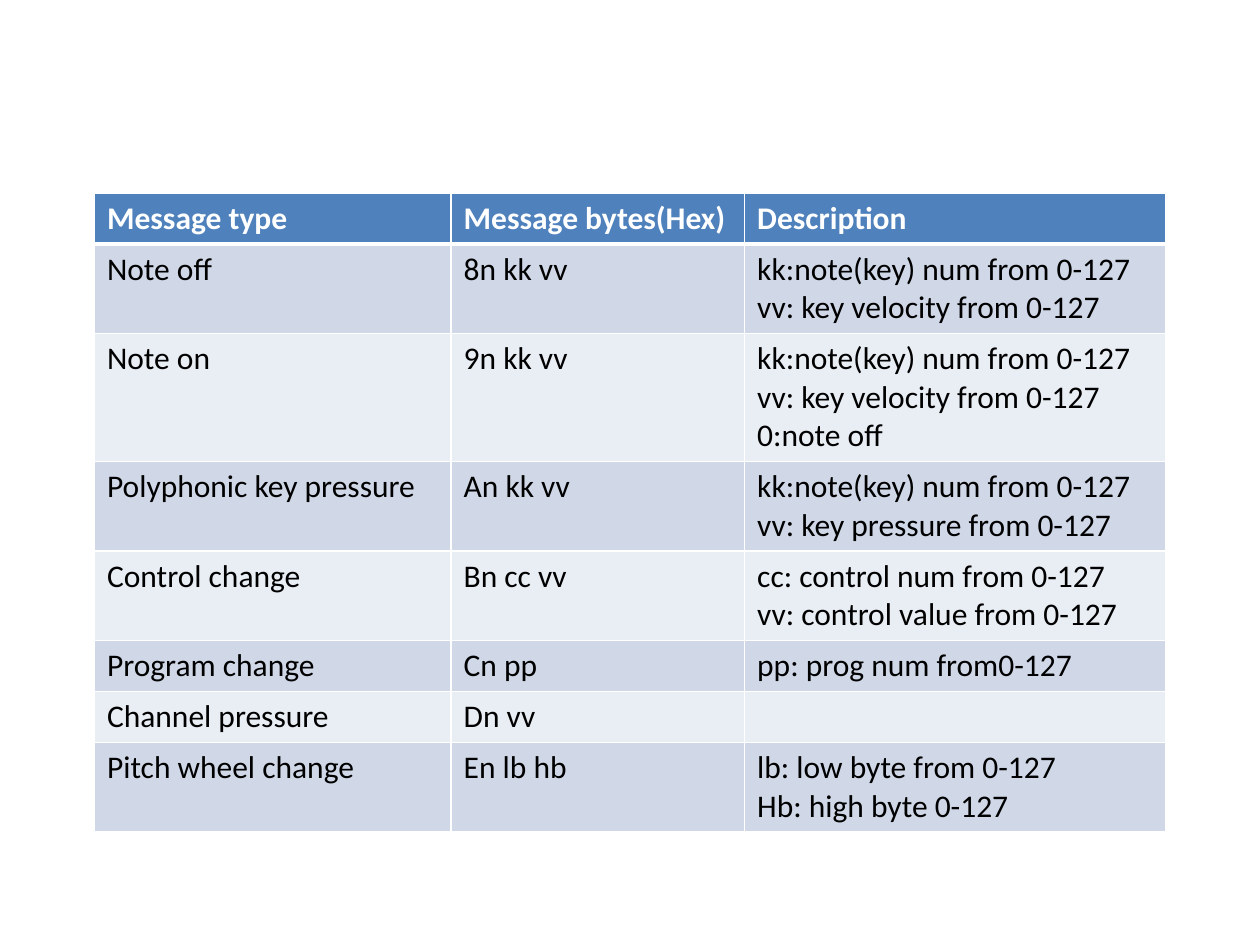
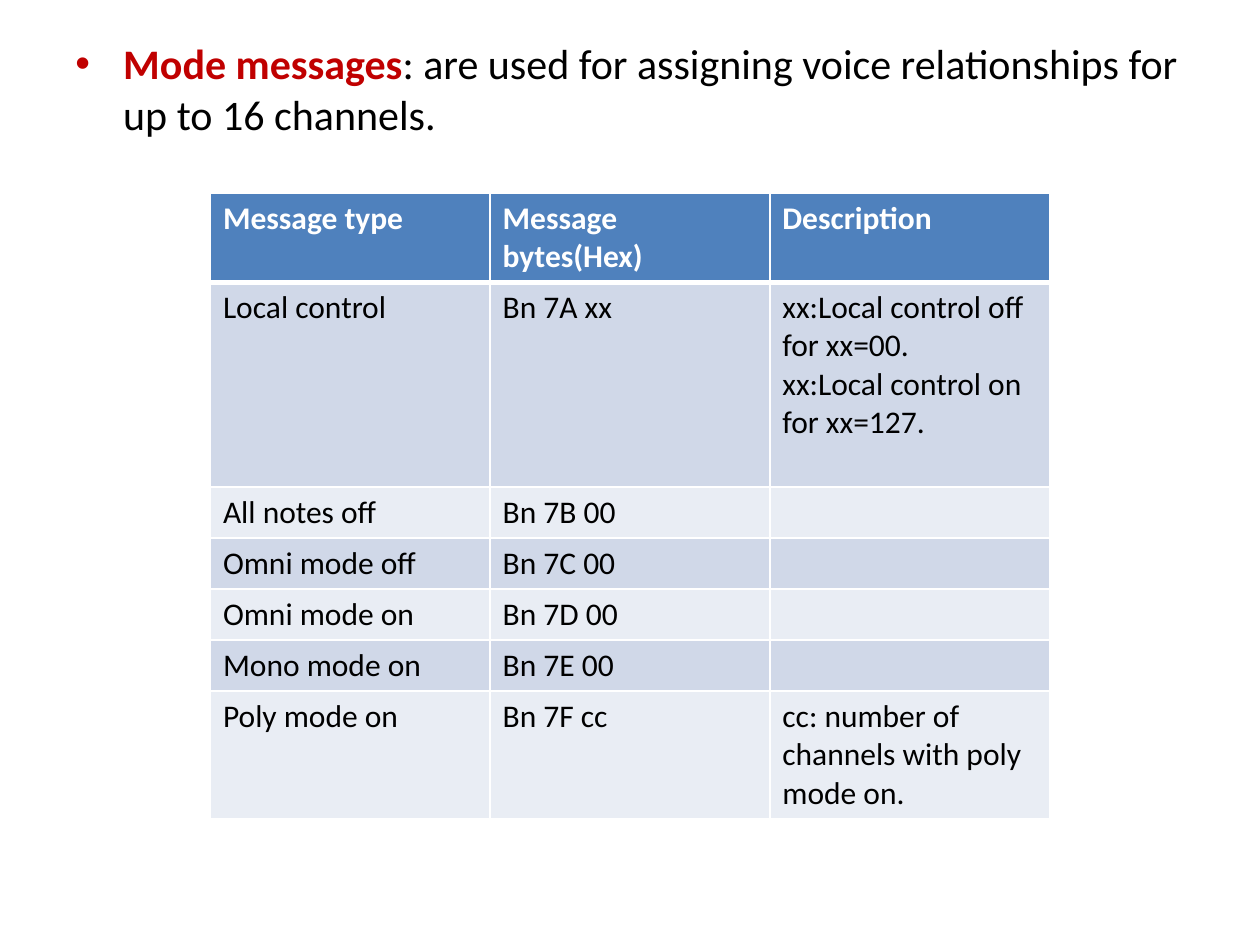
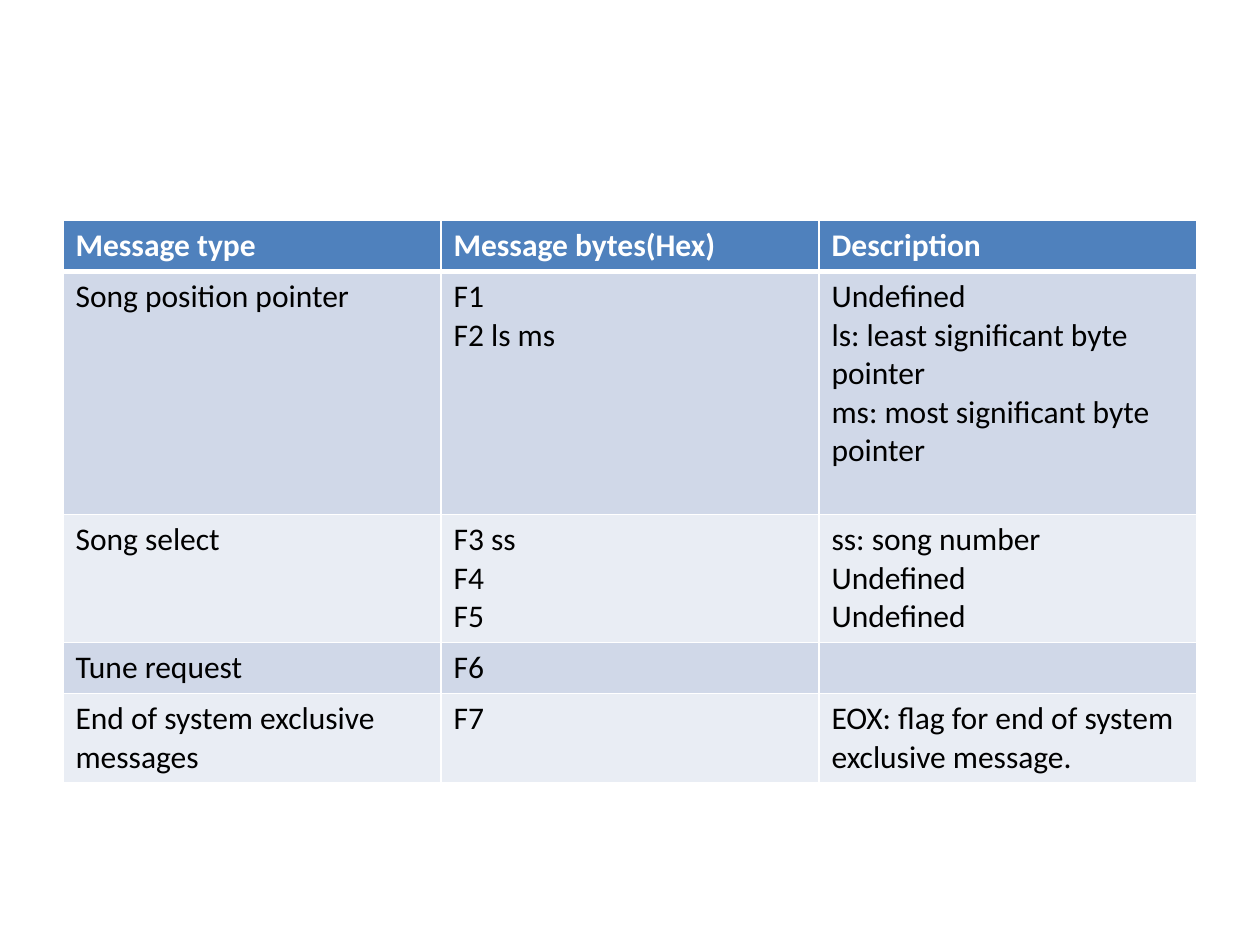
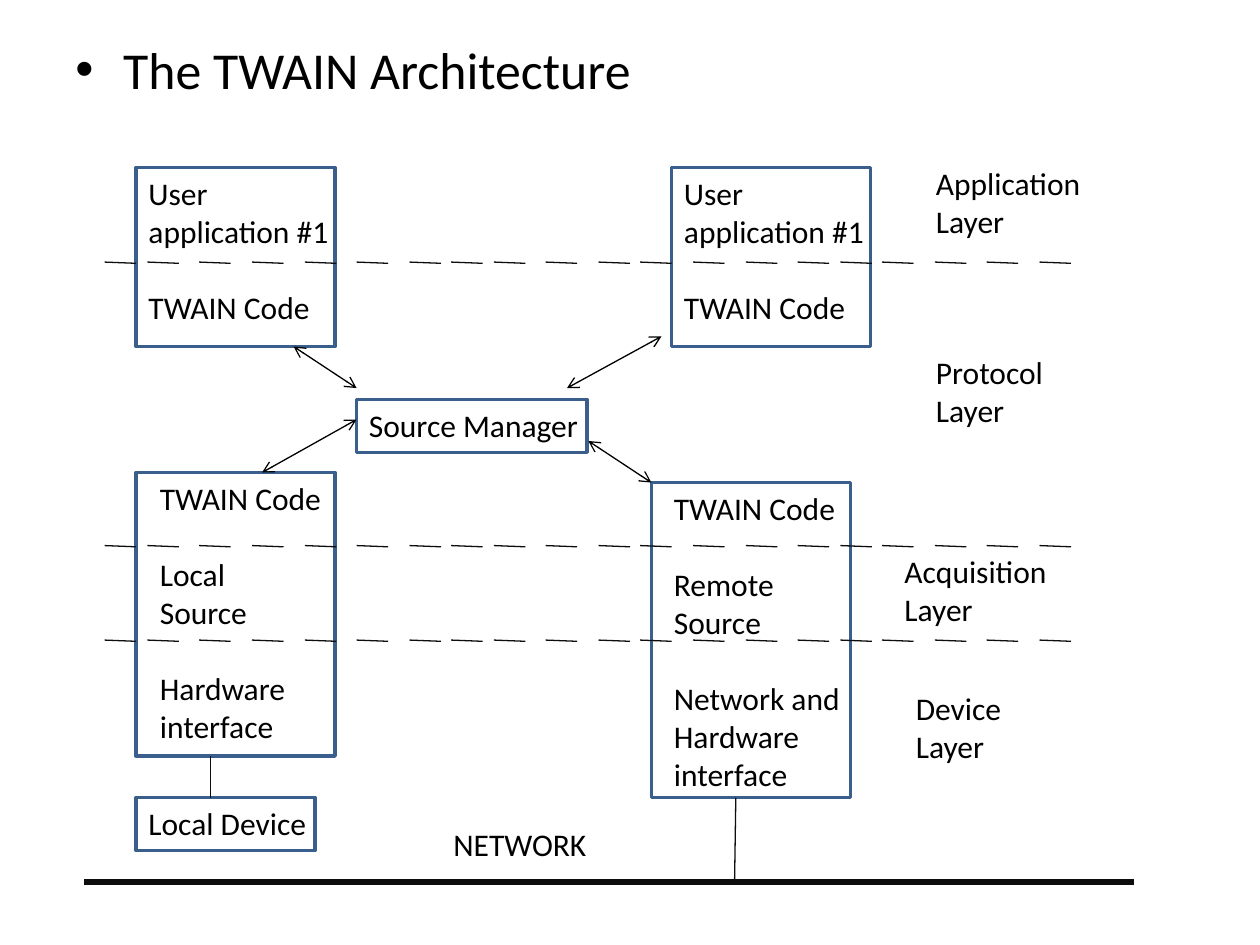
"""Build four slides: three MIDI message tables and the TWAIN architecture diagram."""
from lxml.etree import SubElement
from pptx import Presentation
from pptx.dml.color import RGBColor
from pptx.enum.shapes import MSO_CONNECTOR as Connector, MSO_SHAPE as Preset
from pptx.oxml import parse_xml
from pptx.oxml.ns import nsdecls, qn
from pptx.util import Inches, Pt

COLORS = {
    "header": "4F81BD", "band_dark": "D0D8E8", "band_light": "E9EDF4",
    "white": "FFFFFF", "text": "000000", "accent": "C00000",
    "outline": "3A5F8C", "rule": "0D0D0D",
}
FONT = "Calibri"
BODY_SIZE = 18
LINE_HEIGHT = 0.305
CELL_PADDING = 0.1
GAP = 22

HEADER = ("Message type", "Message bytes(Hex)", "Description")

VOICE_TABLE = {
    "at": (0.75, 1.53), "columns": (2.83, 2.33, 3.34),
    "lines": (1, 2, 3, 2, 2, 1, 1, 2),
    "rows": [
        ("Note off", "8n kk vv", "kk:note(key) num from 0-127\nvv: key velocity from 0-127"),
        ("Note on", "9n kk vv", "kk:note(key) num from 0-127\nvv: key velocity from 0-127 0:note off"),
        ("Polyphonic key pressure", "An kk vv", "kk:note(key) num from 0-127\nvv: key pressure from 0-127"),
        ("Control change", "Bn cc vv", "cc: control num from 0-127\nvv: control value from 0-127"),
        ("Program change", "Cn pp", "pp: prog num from0-127"),
        ("Channel pressure", "Dn vv", ""),
        ("Pitch wheel change", "En lb hb", "lb: low byte from 0-127\nHb: high byte 0-127"),
    ],
}
MODE_TABLE = {
    "at": (1.67, 1.53), "columns": (2.22, 2.22, 2.22),
    "lines": (2, 5, 1, 1, 1, 1, 3),
    "rows": [
        ("Local control", "Bn 7A xx", "xx:Local control off for xx=00.\nxx:Local control on for xx=127."),
        ("All notes off", "Bn 7B 00", ""),
        ("Omni mode off", "Bn 7C 00", ""),
        ("Omni mode on", "Bn 7D 00", ""),
        ("Mono mode on", "Bn 7E 00", ""),
        ("Poly mode on", "Bn 7F cc", "cc: number of channels with poly mode on."),
    ],
}
SYSTEM_TABLE = {
    "at": (0.5, 1.75), "columns": (3, 3, 3),
    "lines": (1, 6, 3, 1, 2),
    "rows": [
        ("Song position pointer", "F1\nF2 ls ms",
         "Undefined\nls: least significant byte pointer\nms: most significant byte pointer"),
        ("Song select", "F3 ss\nF4\nF5", "ss: song number\nUndefined\nUndefined"),
        ("Tune request", "F6", ""),
        ("End of system exclusive messages", "F7", "EOX: flag for end of system exclusive message."),
    ],
}

MODE_TITLE = [
    ("Mode messages", "accent", True),
    (": are used for assigning voice relationships for up to 16 channels.", "text", False),
]
ARCHITECTURE_TITLE = [("The TWAIN Architecture", "text", False)]

USER_APPLICATION = ["User application #1", "TWAIN Code"]
BLOCK_TEXTS = [
    ((1.08, 1.33, 1.67, 1.31), USER_APPLICATION),
    ((5.33, 1.33, 1.67, 1.31), USER_APPLICATION),
    ((2.83, 3.17, 2, 0.4), ["Source Manager"]),
    ((1.17, 3.75, 1.75, 2.22), ["TWAIN Code", "Local\nSource", "Hardware interface"]),
    ((5.25, 3.83, 1.75, 2.52), ["TWAIN Code", "Remote\nSource", "Network and Hardware interface"]),
    ((1.08, 6.33, 1.67, 0.4), ["Local Device"]),
]
BLOCKS = [
    (1.08, 1.33, 1.58, 1.42), (5.33, 1.33, 1.58, 1.42), (2.83, 3.17, 1.83, 0.42),
    (1.08, 3.75, 1.58, 2.25), (5.17, 3.83, 1.58, 2.5), (1.08, 6.33, 1.42, 0.42),
]
ARROWS = [
    (2.33, 2.75, 2.83, 3.08), (4.67, 3.5, 5.17, 3.83),
    (4.5, 3.08, 5.25, 2.67), (2.08, 3.75, 2.83, 3.33),
]
NETWORK_LINES = [
    ((1.67, 6, 1.67, 6.33), 0.75), ((5.84, 6.33, 5.83, 7), 0.75), ((0.67, 7, 9, 7), 3.5),
]
LAYER_BORDERS = (2.08, 4.33, 5.08)
DASH_LENGTH = 0.25
DASH_LEFTS = (0.83, 1.17, 1.58, 2, 2.42, 2.83, 3.25, 3.58, 3.92, 4.33,
              4.75, 5.08, 5.5, 5.92, 6.33, 6.67, 7, 7.42, 7.83, 8.25)
LABELS = [
    ((7.33, 1.25, 1.75, 0.71), ["Application\nLayer"]),
    ((7.33, 2.75, 1.75, 0.71), ["Protocol\nLayer"]),
    ((7.08, 4.33, 1.75, 0.71), ["Acquisition\nLayer"]),
    ((7.17, 5.42, 1.75, 0.71), ["Device\nLayer"]),
    ((3.5, 6.5, 1.5, 0.4), ["NETWORK"]),
]


def color(name):
    return RGBColor.from_string(COLORS[name])


def inches(values):
    return [Inches(value) for value in values]


def add_run(paragraph, text, color_name="text", size=BODY_SIZE, bold=False):
    run = paragraph.add_run()
    run.text = text
    run.font.name = FONT
    run.font.size = Pt(size)
    run.font.bold = bold
    run.font.color.rgb = color(color_name)


def next_paragraph(frame, index):
    return frame.add_paragraph() if index else frame.paragraphs[0]


def add_text_box(slide, box):
    frame = slide.shapes.add_textbox(*inches(box)).text_frame
    frame.word_wrap = True
    return frame


def add_title(slide, runs, size, height):
    paragraph = add_text_box(slide, (0.5, 0.25, 9, height)).paragraphs[0]
    paragraph.space_before = Pt(size * 0.2)
    properties = paragraph._p.get_or_add_pPr()
    properties.set("marL", str(Inches(0.38)))
    properties.set("indent", str(-Inches(0.38)))
    SubElement(properties, qn("a:buFont")).set("typeface", "Arial")
    SubElement(properties, qn("a:buChar")).set("char", "•")
    for text, color_name, bold in runs:
        add_run(paragraph, text, color_name, size, bold)


def add_sections(slide, box, sections):
    frame = add_text_box(slide, box)
    lines = [(line, section > 0 and row == 0)
             for section, text in enumerate(sections)
             for row, line in enumerate(text.split("\n"))]
    for index, (line, starts_section) in enumerate(lines):
        paragraph = next_paragraph(frame, index)
        if starts_section:
            paragraph.space_before = Pt(GAP)
        add_run(paragraph, line)


def set_borders(cell, top, bottom):
    properties = cell._tc.get_or_add_tcPr()
    for index, (side, width) in enumerate((("L", 1), ("R", 1), ("T", top), ("B", bottom))):
        border = parse_xml(
            f'<a:ln{side} {nsdecls("a")} w="{Pt(width)}"><a:solidFill>'
            f'<a:srgbClr val="{COLORS["white"]}"/></a:solidFill></a:ln{side}>')
        properties.insert(index, border)


def add_message_table(slide, content):
    rows = [HEADER] + content["rows"]
    heights = [CELL_PADDING + LINE_HEIGHT * lines for lines in content["lines"]]
    size = (sum(content["columns"]), sum(heights))
    table = slide.shapes.add_table(len(rows), len(HEADER), *inches(content["at"] + size)).table
    for column, width in zip(table.columns, content["columns"]):
        column.width = Inches(width)
    for row_index, (texts, height) in enumerate(zip(rows, heights)):
        table.rows[row_index].height = Inches(height)
        is_header = row_index == 0
        band = "header" if is_header else "band_dark" if row_index % 2 else "band_light"
        for column_index, text in enumerate(texts):
            cell = table.cell(row_index, column_index)
            cell.fill.solid()
            cell.fill.fore_color.rgb = color(band)
            set_borders(cell, 3 if row_index == 1 else 1, 3 if is_header else 1)
            if not text:
                cell.text_frame.paragraphs[0].font.size = Pt(BODY_SIZE)
                continue
            for index, line in enumerate(text.split("\n")):
                add_run(next_paragraph(cell.text_frame, index), line,
                        "white" if is_header else "text", bold=is_header)


def add_block(slide, box):
    block = slide.shapes.add_shape(Preset.RECTANGLE, *inches(box))
    block.shadow.inherit = False
    block.fill.background()
    block.line.color.rgb = color("outline")
    block.line.width = Pt(2)


def add_line(slide, ends, color_name="rule", width=0.75, arrows=False):
    connector = slide.shapes.add_connector(Connector.STRAIGHT, *inches(ends))
    connector.line.color.rgb = color(color_name)
    connector.line.width = Pt(width)
    if arrows:
        line = connector.line._get_or_add_ln()
        for end in ("a:headEnd", "a:tailEnd"):
            SubElement(line, qn(end)).set("type", "arrow")
    SubElement(connector._element.spPr, qn("a:effectLst"))


def add_architecture(slide):
    for box, sections in BLOCK_TEXTS + LABELS:
        add_sections(slide, box, sections)
    for box in BLOCKS:
        add_block(slide, box)
    for ends in ARROWS:
        add_line(slide, ends, "text", arrows=True)
    for ends, width in NETWORK_LINES:
        add_line(slide, ends, width=width)
    for top in LAYER_BORDERS:
        for left in DASH_LEFTS:
            add_line(slide, (left, top, left + DASH_LENGTH, top + 0.01))


presentation = Presentation()
presentation.slide_width, presentation.slide_height = inches((10, 7.5))
blank_layout = presentation.slide_layouts[6]
voice, mode, system, architecture = [presentation.slides.add_slide(blank_layout) for _ in range(4)]

add_message_table(voice, VOICE_TABLE)
add_title(mode, MODE_TITLE, 24, 6.45)
add_message_table(mode, MODE_TABLE)
add_message_table(system, SYSTEM_TABLE)
add_title(architecture, ARCHITECTURE_TITLE, 29.6, 0.58)
add_architecture(architecture)
presentation.save("out.pptx")
